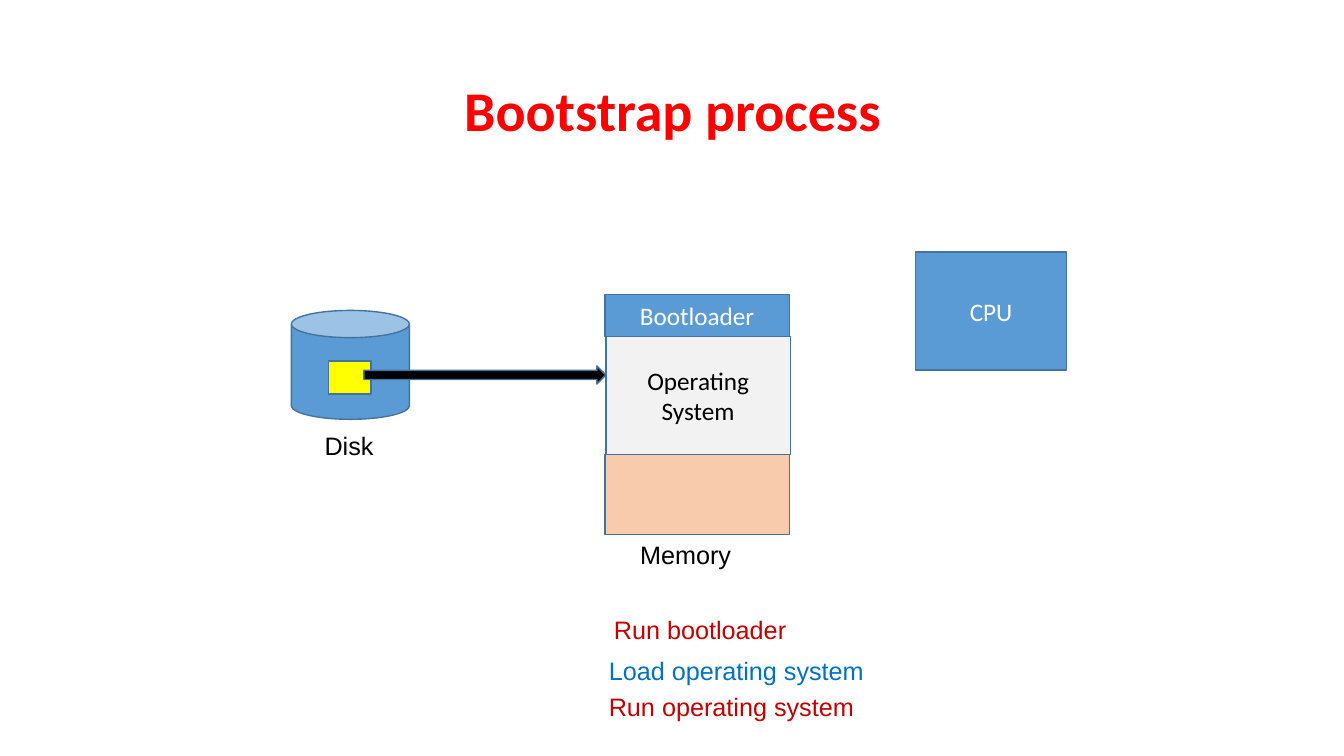
from dataclasses import dataclass

from pptx import Presentation
from pptx.dml.color import RGBColor as RGB
from pptx.enum.shapes import MSO_SHAPE as SHAPE
from pptx.enum.text import MSO_ANCHOR as ANCHOR, MSO_AUTO_SIZE as AUTO, PP_ALIGN as ALIGN
from pptx.util import Inches, Pt


@dataclass(frozen=True)
class Theme:
    """Colours, fonts and type sizes of the slide."""
    title: str = "FF0000"
    blue: str = "5B9BD5"
    outline: str = "43739E"
    yellow: str = "FFFF00"
    grey: str = "F2F2F2"
    peach: str = "F8CBAD"
    black: str = "000000"
    white: str = "FFFFFF"
    run: str = "C00000"
    load: str = "0070C0"
    shape_font: str = "Calibri"
    label_font: str = "Arial"
    title_size: int = 40
    text_size: int = 18


THEME = Theme()


def write(tf, text, color, font=THEME.shape_font, size=THEME.text_size,
          bold=False, align=ALIGN.CENTER, spacing=None):
    """Put one formatted paragraph into a text frame."""
    p = tf.paragraphs[0]
    p.alignment = align
    p.line_spacing = spacing
    r = p.add_run()
    r.text = text
    r.font.name, r.font.size, r.font.bold = font, Pt(size), bold
    r.font.color.rgb = RGB.from_string(color)


def add_block(slide, box, fill, text="", color=THEME.white, kind=SHAPE.RECTANGLE):
    """Draw an outlined shape with optional centred text."""
    sp = slide.shapes.add_shape(kind, *map(Inches, box))
    sp.shadow.inherit = False
    sp.fill.solid()
    sp.fill.fore_color.rgb = RGB.from_string(fill)
    sp.line.color.rgb = RGB.from_string(THEME.outline)
    sp.line.width = Pt(1)
    if text:
        sp.text_frame.word_wrap = True
        sp.text_frame.vertical_anchor = ANCHOR.MIDDLE
        write(sp.text_frame, text, color)


def add_label(slide, x, y, width, text, color=THEME.black):
    """Place a one-line label that fits its text."""
    tf = slide.shapes.add_textbox(*map(Inches, (x, y, width, 0.4))).text_frame
    tf.word_wrap = False
    tf.auto_size = AUTO.SHAPE_TO_FIT_TEXT
    write(tf, text, color, font=THEME.label_font, align=ALIGN.LEFT)


def add_title(slide, box, text):
    """Move and format the title placeholder."""
    sp = slide.shapes.title
    sp.left, sp.top, sp.width, sp.height = map(Inches, box)
    tf = sp.text_frame
    tf.auto_size = AUTO.NONE
    tf.vertical_anchor = ANCHOR.MIDDLE
    write(tf, text, THEME.title, size=THEME.title_size, bold=True, spacing=0.9)


def add_disk(slide, x, y, w, h):
    """Draw the disk, its boot sector and its label."""
    add_block(slide, (x, y, w, h), THEME.blue, kind=SHAPE.CAN)
    add_block(slide, (x + 0.37, y + 0.5, 0.42, 0.33), THEME.yellow)
    add_label(slide, x + 0.23, y + h + 0.06, 0.69, "Disk")


def add_memory(slide, x, y, w):
    """Stack the memory regions downwards and label them."""
    regions = [
        (0, 0.42, THEME.blue, "Bootloader", THEME.white),
        (0.01, 1.17, THEME.grey, "Operating System", THEME.black),
        (0, 0.79, THEME.peach, "", THEME.black),
    ]
    for shift, h, fill, text, color in regions:
        add_block(slide, (x + shift, y, w, h), fill, text, color)
        y += h
    add_label(slide, x + 0.25, y, 1.11, "Memory")


def add_steps(slide, x, y):
    """List the boot steps under the memory."""
    steps = [
        (0.05, 0, 1.93, "Run bootloader", THEME.run),
        (0, 0.4, 2.75, "Load operating system", THEME.load),
        (0, 0.76, 2.66, "Run operating system", THEME.run),
    ]
    for dx, dy, width, text, color in steps:
        add_label(slide, x + dx, y + dy, width, text, color)


def main():
    """Build and save the slide."""
    prs = Presentation()
    prs.slide_width, prs.slide_height = Inches(13.33), Inches(7.5)
    slide = prs.slides.add_slide(prs.slide_layouts[5])
    add_title(slide, (0.92, 0.4, 11.5, 1.45), "Bootstrap process")
    add_disk(slide, 2.89, 3.08, 1.17, 1.08)
    add_block(slide, (9.08, 2.5, 1.5, 1.17), THEME.blue, "CPU")
    add_memory(slide, 6, 2.92, 1.83)
    add_block(slide, (3.61, 3.63, 2.4, 0.18), THEME.black, kind=SHAPE.RIGHT_ARROW)
    add_steps(slide, 5.94, 6.05)
    prs.save("out.pptx")


if __name__ == "__main__":
    main()
